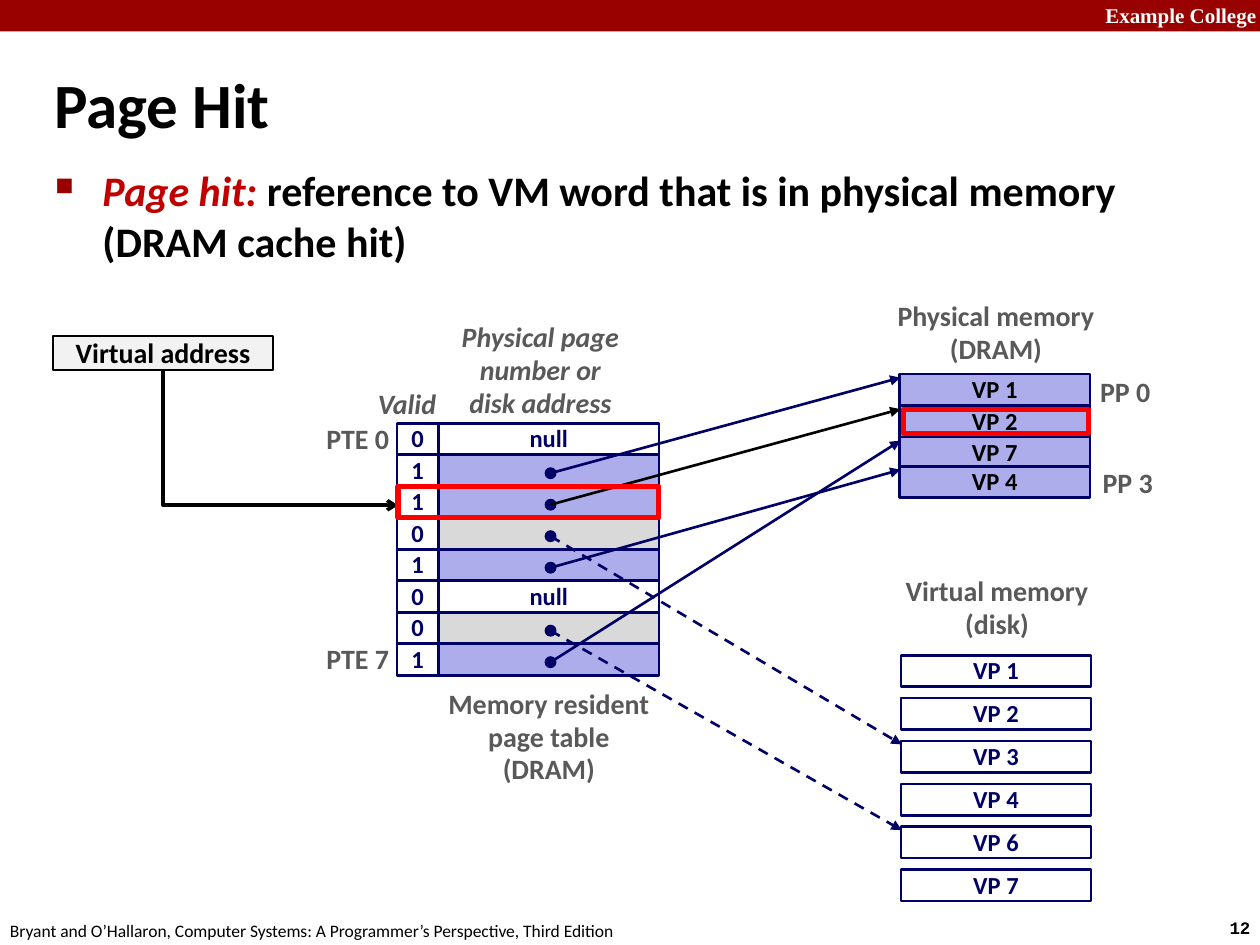
from lxml import etree
from pptx import Presentation
from pptx.dml.color import RGBColor
from pptx.enum import dml, shapes, text
from pptx.oxml import ns
from pptx.util import Pt

NAVY, BLACK, GRAY, WHITE = "000066", "000000", "595959", "FFFFFF"
LILAC, SILVER, RED, MAROON = "ADADEB", "D9D9D9", "FF0000", "990000"
LEFT, CENTER, RIGHT = text.PP_ALIGN.LEFT, text.PP_ALIGN.CENTER, text.PP_ALIGN.RIGHT
TOP, MIDDLE = text.MSO_ANCHOR.TOP, text.MSO_ANCHOR.MIDDLE
RECT, OVAL = shapes.MSO_SHAPE.RECTANGLE, shapes.MSO_SHAPE.OVAL
ROW = 18


def color(value):
    return RGBColor.from_string(value)


def child(parent, tag, **attributes):
    return etree.SubElement(parent, ns.qn(tag), attributes)


def add_run(paragraph, words, size, ink, bold=True, italic=False, font="Calibri"):
    run = paragraph.add_run()
    run.text = words
    run.font.name, run.font.size = font, Pt(size)
    run.font.bold, run.font.italic = bold, italic
    run.font.color.rgb = color(ink)


def write(frame, lines, size, ink, align=CENTER, anchor=MIDDLE, wrap=False,
          spacing=0.98, **style):
    frame.word_wrap, frame.vertical_anchor = wrap, anchor
    for index, line in enumerate(lines):
        paragraph = frame.add_paragraph() if index else frame.paragraphs[0]
        paragraph.alignment, paragraph.line_spacing = align, spacing
        add_run(paragraph, line, size, ink, **style)


def label(slide, box, lines, size=16, ink=GRAY, **style):
    caption = slide.shapes.add_textbox(*map(Pt, box))
    write(caption.text_frame, lines, size, ink, **style)


def block(slide, box, fill=None, line=NAVY, width=1.5, words=None, ink=NAVY,
          size=14, kind=RECT):
    shape = slide.shapes.add_shape(kind, *map(Pt, box))
    shape.shadow.inherit = False
    if fill:
        shape.fill.solid()
        shape.fill.fore_color.rgb = color(fill)
    else:
        shape.fill.background()
    if line:
        shape.line.color.rgb = color(line)
        shape.line.width = Pt(width)
    else:
        shape.line.fill.background()
    if words:
        write(shape.text_frame, [words], size, ink)


def arrow(slide, start, end, ink=NAVY, width=1.5, dashed=False, head="triangle",
          kind=shapes.MSO_CONNECTOR.STRAIGHT):
    link = slide.shapes.add_connector(kind, *map(Pt, (*start, *end)))
    link.line.color.rgb = color(ink)
    link.line.width = Pt(width)
    if dashed:
        link.line.dash_style = dml.MSO_LINE.DASH
    child(link.line._get_or_add_ln(), "a:tailEnd", type=head)
    child(link._element.spPr, "a:effectLst")
    return link


def page_frame(slide, width, height):
    block(slide, (0, 0, width, 18), MAROON, None)
    label(slide, (width - 120, -2, 125, 21.6), ["Example College"], 12, WHITE,
          align=RIGHT, anchor=TOP, wrap=True, spacing=1, font="Times New Roman")
    label(slide, (width - 24.5, height - 19.4, 32.4, 19.4), ["12"], 10, BLACK,
          align=LEFT, anchor=TOP, spacing=1, font="Courier New")
    label(slide, (-1.4, height - 18, 365.8, 19.4),
          ["Bryant and O’Hallaron, Computer Systems: A Programmer’s Perspective, Third Edition"],
          10, BLACK, align=LEFT, anchor=TOP, spacing=1, bold=False)


def heading(slide, left, top, width):
    title = slide.shapes.title
    title.left, title.top, title.width, title.height = map(Pt, (left, top, width, 62))
    write(title.text_frame, ["Page Hit"], 36, BLACK, align=LEFT, wrap=True, spacing=1)
    definition = slide.shapes.add_textbox(*map(Pt, (left + 0.7, top + 62.6, width, 47.5)))
    definition.text_frame.word_wrap = True
    paragraph = definition.text_frame.paragraphs[0]
    paragraph.space_before = Pt(4.8)
    properties = paragraph._p.get_or_add_pPr()
    properties.set("marL", str(Pt(27)))
    properties.set("indent", str(-Pt(27)))
    child(child(properties, "a:buClr"), "a:srgbClr", val=MAROON)
    child(properties, "a:buSzPct", val="60000")
    child(properties, "a:buChar", char="■")
    add_run(paragraph, "Page hit: ", 24, "C00000", italic=True)
    add_run(paragraph, "reference to VM word that is in physical memory (DRAM cache hit)",
            24, BLACK)


def page_table(slide, left, top, entries):
    valid_width, address_width = 23.8, 126
    address = left + valid_width
    dots = {}
    for index, (valid, fill) in enumerate(entries):
        y = top + index * ROW
        empty = fill == WHITE
        block(slide, (address, y, address_width, ROW), fill, words="null" if empty else None)
        block(slide, (left, y, valid_width, ROW), words=valid)
        if not empty:
            dots[index] = address + 64, y + ROW / 2 + 1.5
    for x, y in dots.values():
        block(slide, (x - 2.9, y - 2.9, 5.8, 5.8), NAVY, width=1, kind=OVAL)
    label(slide, (left - 18, top - 23.8, 54, 26.6), ["Valid"], align=LEFT,
          anchor=TOP, wrap=True, italic=True)
    label(slide, (left + 29.5, top - 62, 105, 64),
          ["Physical page", "number or", "disk address"], italic=True)
    for index in (0, 7):
        label(slide, (left - 47.8, top + index * ROW - 4, 50.4, 26.6),
              [f"PTE {index}"], align=RIGHT)
    label(slide, (address - 3.6, top + 147.6, 133.2, 64),
          ["Memory resident", "page table", "(DRAM)"], anchor=TOP)
    return dots


def memory(slide, left, top, caption, caption_rise, pages, offsets, fill, ink):
    width = 108.7
    label(slide, (left - 9, top - caption_rise, 128, 45.4), caption, anchor=TOP)
    for page, offset in zip(pages, offsets):
        block(slide, (left, top + offset, width, ROW), fill, words=page, ink=ink)
    return {page: (left + 0.5, top + offset + 2) for page, offset in zip(pages, offsets)}


def virtual_address(slide, left, top, entry):
    width, height = 126, 19.2
    block(slide, (left, top, width, height), "F2F2F2", BLACK, 1, "Virtual address", BLACK, 16)
    start = left + width / 2, top + height
    across, down = entry[0] - start[0], entry[1] - start[1]
    x, y = (start[0] + entry[0]) / 2, (start[1] + entry[1]) / 2
    lookup = arrow(slide, (x + down / 2, y - across / 2), (x - down / 2, y + across / 2),
                   BLACK, 2, head="arrow", kind=shapes.MSO_CONNECTOR.ELBOW)
    properties = lookup._element.spPr
    properties.find(ns.qn("a:xfrm")).set("rot", "16200000")
    properties.find(ns.qn("a:prstGeom")).set("prst", "bentConnector2")


def page_hit_slide(deck):
    slide = deck.slides.add_slide(deck.slide_layouts[5])
    page_frame(slide, 720, 540)
    heading(slide, 23.8, 28, 653)

    table_left, table_top = 226.8, 241.9
    entries = [("0", WHITE), ("1", LILAC), ("1", LILAC), ("0", SILVER),
               ("1", LILAC), ("0", WHITE), ("0", SILVER), ("1", LILAC)]
    dots = page_table(slide, table_left, table_top, entries)

    dram_left, dram_top = 514.1, 213.8
    dram = memory(slide, dram_left, dram_top, ["Physical memory", "(DRAM)"], 46,
                  ["VP 1", "VP 2", "VP 7", "VP 4"], [0, 18, 36, 52.6], LILAC, BLACK)
    for name, x, y in (("PP 0", 107.3, -2.8), ("PP 3", 108.7, 49)):
        label(slide, (dram_left + x, dram_top + y, 43.2, 26.6), [name])

    disk = memory(slide, 514.8, 374.4, ["Virtual memory", "(disk)"], 49,
                  ["VP 1", "VP 2", "VP 3", "VP 4", "VP 6", "VP 7"],
                  [index * 24.5 for index in range(6)], WHITE, NAVY)

    for index, page in ((1, "VP 1"), (2, "VP 2"), (4, "VP 4"), (7, "VP 7")):
        arrow(slide, dots[index], dram[page], BLACK if index == 2 else NAVY)
    for index, page in ((3, "VP 3"), (6, "VP 6")):
        arrow(slide, dots[index], disk[page], dashed=True)

    hit_top = table_top + 2 * ROW
    virtual_address(slide, 30.2, 192.2, (table_left + 0.7, hit_top + 10.8))
    block(slide, (dram_left + 2, dram_top + 20.2, 105.8, 13.7), line=RED, width=3)
    block(slide, (table_left + 0.7, hit_top, 149, ROW), line=RED, width=3)


deck = Presentation()
deck.slide_width, deck.slide_height = Pt(720), Pt(540)
page_hit_slide(deck)
deck.save("out.pptx")
